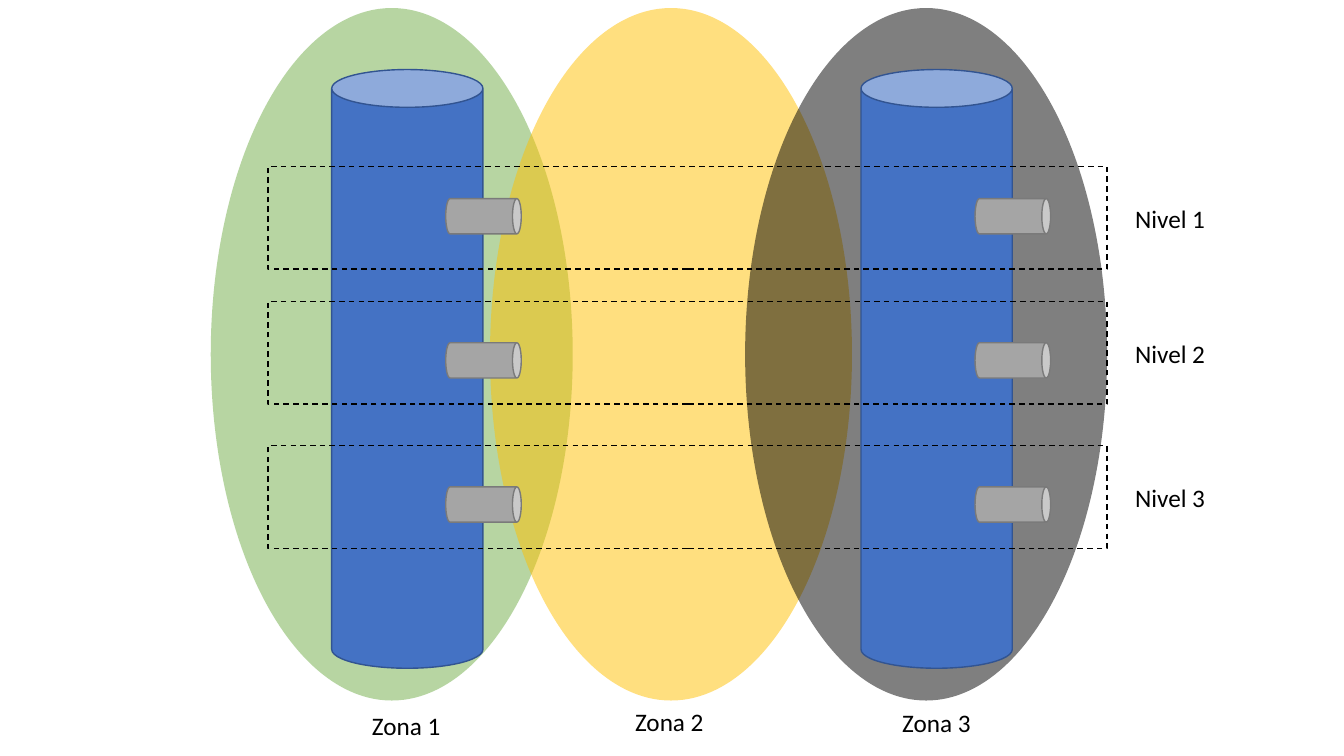
from pptx import Presentation
from pptx.dml.color import RGBColor
from pptx.enum.dml import MSO_LINE
from pptx.enum.shapes import MSO_SHAPE
from pptx.enum.text import MSO_AUTO_SIZE
from pptx.util import Inches, Pt
from lxml.etree import SubElement

theme = {
    "zones": ["70AD47", "FFC000", "000000"],
    "zone_alpha": "50000",
    "column": "4472C4",
    "column_edge": "325491",
    "pipe": "A5A5A5",
    "pipe_edge": "7A7A7A",
    "ink": "000000",
    "font": "Calibri",
    "label_size": Pt(18),
    "line_width": Pt(1),
}
label_frame = {"word_wrap": False, "auto_size": MSO_AUTO_SIZE.SHAPE_TO_FIT_TEXT}
label_font = {"name": theme["font"], "size": theme["label_size"]}
level_line = {"width": theme["line_width"], "dash_style": MSO_LINE.DASH}


def add_figure(shapes, preset, box, fill=None, edge=None):
    figure = shapes.add_shape(preset, *map(Inches, box))
    figure.shadow.inherit = False
    if fill:
        figure.fill.solid()
        figure.fill.fore_color.rgb = RGBColor.from_string(fill)
    else:
        figure.fill.background()
    if edge:
        figure.line.color.rgb = RGBColor.from_string(edge)
        figure.line.width = theme["line_width"]
    else:
        figure.line.fill.background()
    return figure


def add_label(text, left, top, width):
    label = slide.shapes.add_textbox(*map(Inches, (left, top, width, 0.4)))
    for name, value in label_frame.items():
        setattr(label.text_frame, name, value)
    run = label.text_frame.paragraphs[0].add_run()
    run.text = text
    for name, value in label_font.items():
        setattr(run.font, name, value)
    run.font.color.rgb = RGBColor.from_string(theme["ink"])


deck = Presentation()
for name, value in {"slide_width": 13.33, "slide_height": 7.5}.items():
    setattr(deck, name, Inches(value))
slide = deck.slides.add_slide(deck.slide_layouts[6])

zones = slide.shapes.add_group_shape()
for left, color in zip([2.09, 4.86, 7.39], theme["zones"]):
    zone = add_figure(zones.shapes, MSO_SHAPE.OVAL, (left, 0.08, 3.59, 6.87), color)
    zone_color = zone.fill._xPr.solidFill.srgbClr
    SubElement(zone_color, zone_color.tag.replace("srgbClr", "alpha"), val=theme["zone_alpha"])

for column_left in [8.54, 3.29]:
    column = slide.shapes.add_group_shape()
    add_figure(column.shapes, MSO_SHAPE.CAN, (column_left, 0.69, 1.5, 5.94),
               theme["column"], theme["column_edge"])
    for level in range(3):
        pipe = add_figure(column.shapes, MSO_SHAPE.CAN,
                          (column_left + 1.33, 1.77 + 1.43 * level, 0.35, 0.75),
                          theme["pipe"], theme["pipe_edge"])
        pipe.rotation = 90

for number, top in enumerate([1.65, 2.99, 4.42], start=1):
    level_band = add_figure(slide.shapes, MSO_SHAPE.RECTANGLE, (2.66, top, 8.32, 1.02),
                            edge=theme["ink"])
    for name, value in level_line.items():
        setattr(level_band.line, name, value)
    add_label(f"Nivel {number}", 11.16, top + 0.32, 0.9)

for number, (left, top) in enumerate([(3.59, 7), (6.2, 6.96), (8.85, 6.97)], start=1):
    add_label(f"Zona {number}", left, top, 0.89)

deck.save("out.pptx")
